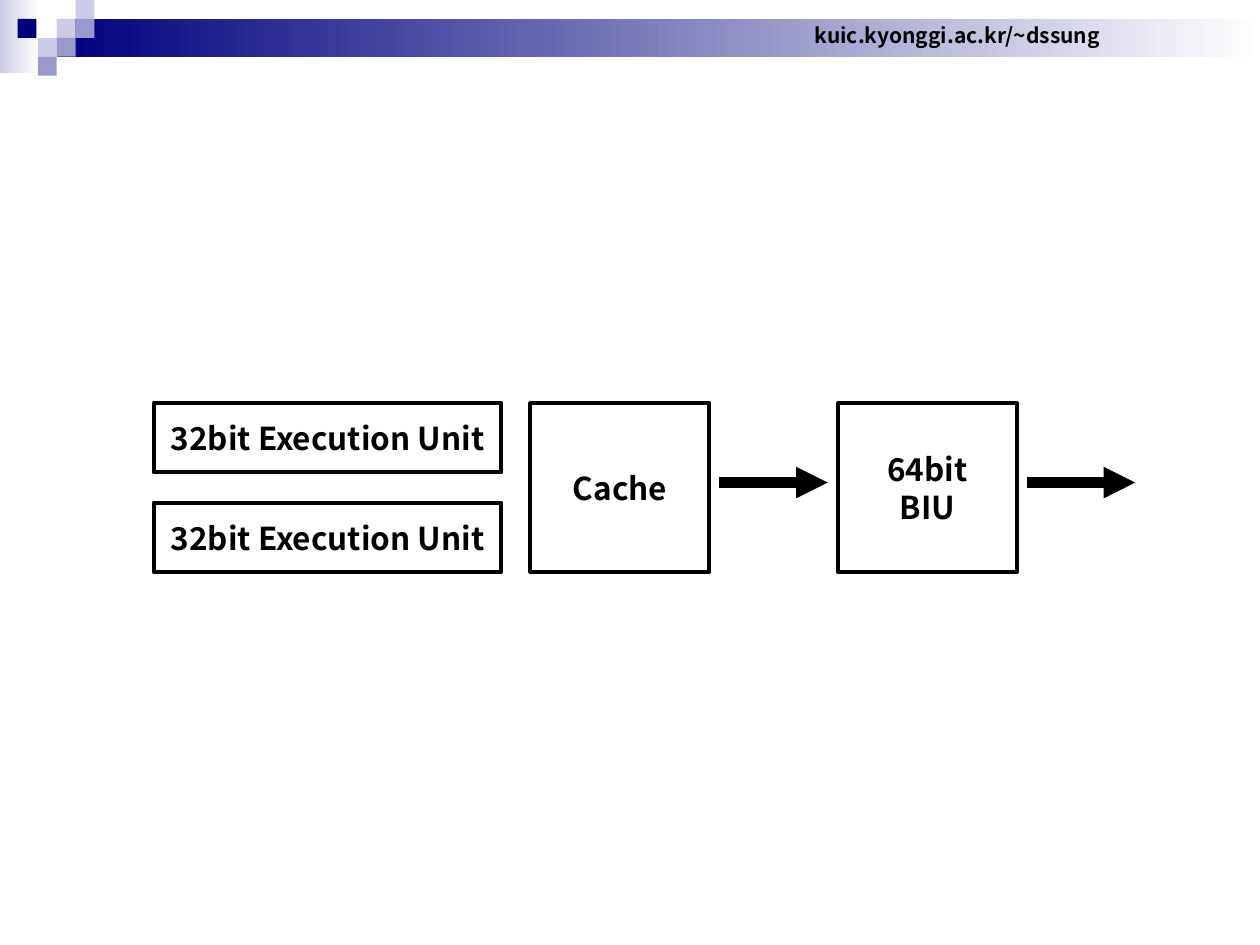
from lxml import etree
from pptx import Presentation
from pptx.dml.color import RGBColor
from pptx.enum.shapes import MSO_CONNECTOR, MSO_SHAPE
from pptx.enum.text import MSO_ANCHOR, PP_ALIGN
from pptx.oxml.ns import qn
from pptx.util import Inches, Pt

RECT = MSO_SHAPE.RECTANGLE
STRAIGHT = MSO_CONNECTOR.STRAIGHT
MIDDLE = MSO_ANCHOR.MIDDLE
LEFT, CENTER = PP_ALIGN.LEFT, PP_ALIGN.CENTER

BLACK = RGBColor(0x00, 0x00, 0x00)
WHITE = RGBColor(0xFF, 0xFF, 0xFF)
NAVY = RGBColor(0x00, 0x00, 0x7D)
LILAC = RGBColor(0xCC, 0xCC, 0xE6)
MAUVE = RGBColor(0x99, 0x99, 0xCC)
FONT = "Noto Sans CJK KR"

SITE = "kuic.kyonggi.ac.kr/~dssung"
UNIT = "32bit Execution Unit"
BANDS = [
    ((0, 0, 0.31, 0.58), LILAC),
    ((0.45, 0.15, 9.55, 0.3), NAVY),
]
TILE = 0.15
TILES = [
    (3, 1, LILAC), (4, 0, LILAC), (4, 1, MAUVE), (2, 2, LILAC),
    (0.93, 1, NAVY), (3, 2, MAUVE), (2, 3, MAUVE),
]
TOP, TALL = 3.2, 1.34
WIDE = 1.42
UNIT_H = 0.55
BLOCKS = [
    (1.22, TOP, 2.76, UNIT_H, UNIT),
    (1.22, TOP + TALL - UNIT_H, 2.76, UNIT_H, UNIT),
    (4.21, TOP, WIDE, TALL, "Cache"),
    (6.65, TOP, WIDE, TALL, "64bit\nBIU"),
]
ARROW_Y, ARROW_W, GAP = 3.83, 0.86, 0.08


def add_rect(slide, x, y, w, h):
    shape = slide.shapes.add_shape(RECT, Inches(x), Inches(y), Inches(w), Inches(h))
    shape.shadow.inherit = False
    shape.line.fill.background()
    return shape


def paint(shape, color):
    shape.fill.solid()
    shape.fill.fore_color.rgb = color


def write(shape, text, size, align):
    frame = shape.text_frame
    frame.text = text
    frame.word_wrap = False
    frame.vertical_anchor = MIDDLE
    for para in frame.paragraphs:
        para.alignment = align
        for run in para.runs:
            font = run.font
            font.name, font.size, font.bold = FONT, Pt(size), True
            font.color.rgb = BLACK


def add_arrow(slide, x, y, w):
    arrow = slide.shapes.add_connector(
        STRAIGHT, Inches(x), Inches(y), Inches(x + w), Inches(y))
    arrow.line.color.rgb = BLACK
    arrow.line.width = Pt(6)
    line = arrow.line._get_or_add_ln()
    etree.SubElement(line, qn("a:tailEnd"), type="triangle")
    etree.SubElement(arrow._element.spPr, qn("a:effectLst"))


def main():
    deck = Presentation()
    deck.slide_width, deck.slide_height = Inches(10), Inches(7.5)
    slide = deck.slides.add_slide(deck.slide_layouts[6])

    for spot, color in BANDS:
        fill = add_rect(slide, *spot).fill
        fill.gradient()
        fill.gradient_angle = 0
        for stop, tone in zip(fill.gradient_stops, (color, WHITE)):
            stop.color.rgb = tone

    for col, row, color in TILES:
        paint(add_rect(slide, col * TILE, row * TILE, TILE, TILE), color)

    site = slide.shapes.add_textbox(
        Inches(6.37), Inches(0.13), Inches(2.47), Inches(0.3))
    write(site, SITE, 12, LEFT)

    for x, y, w, h, text in BLOCKS:
        block = add_rect(slide, x, y, w, h)
        paint(block, WHITE)
        block.line.color.rgb = BLACK
        block.line.width = Pt(2.25)
        write(block, text, 18, CENTER)

    for x, y, w, h, text in BLOCKS[2:]:
        add_arrow(slide, x + w + GAP, ARROW_Y, ARROW_W)

    deck.save("out.pptx")


if __name__ == "__main__":
    main()
